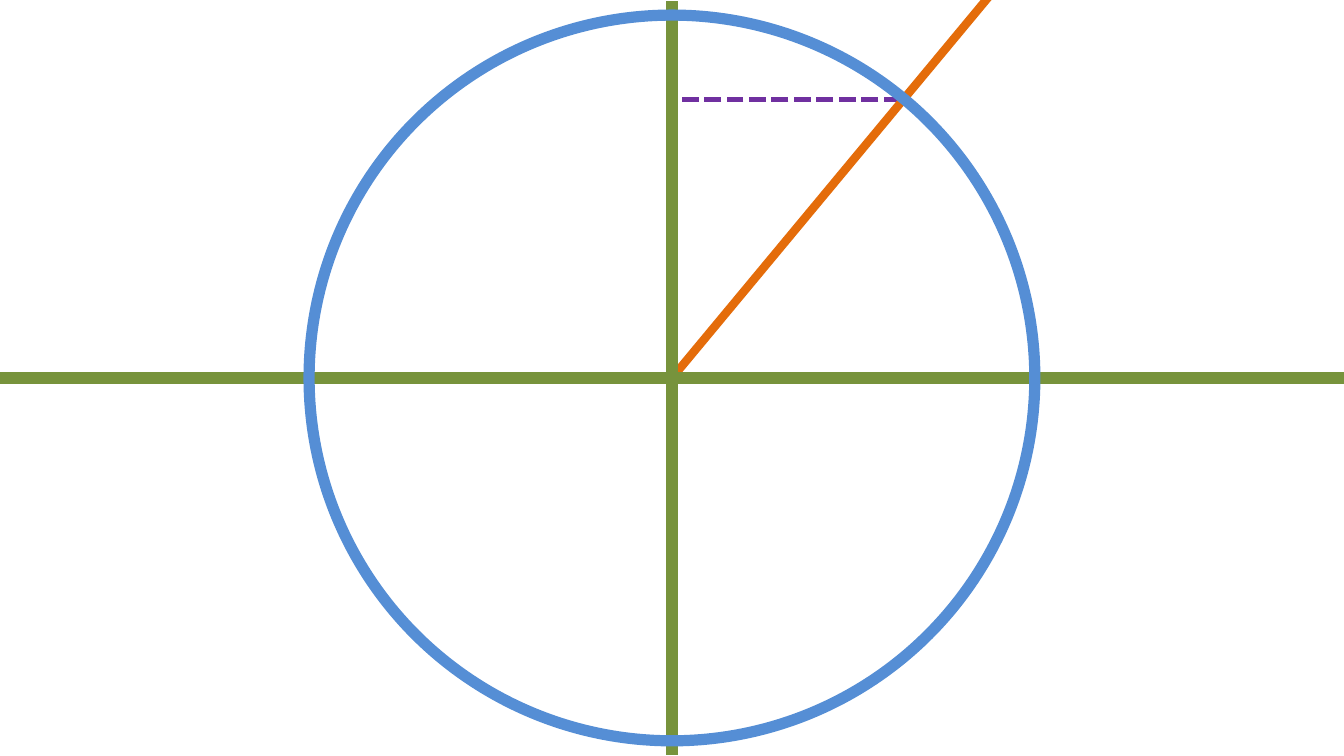
from pptx import Presentation
from pptx.dml.color import RGBColor
from pptx.enum.dml import MSO_LINE
from pptx.enum.shapes import MSO_CONNECTOR, MSO_SHAPE
from pptx.oxml.ns import qn
from pptx.util import Inches, Pt
from lxml import etree

STRAIGHT = MSO_CONNECTOR.STRAIGHT
OVAL = MSO_SHAPE.OVAL
SHORT_DASH = MSO_LINE.SQUARE_DOT

GREEN = RGBColor(0x77, 0x93, 0x3C)
BLUE = RGBColor(0x55, 0x8E, 0xD5)
ORANGE = RGBColor(0xE4, 0x6C, 0x0A)
PURPLE = RGBColor(0x70, 0x30, 0xA0)

# Widescreen page, 16:9
PAGE_WIDTH = 10
PAGE_HEIGHT = PAGE_WIDTH * 9 / 16


def add_line(page, start, end, color, weight):
    """Draw a straight line between two points given in inches."""
    ends = [Inches(value) for value in (*start, *end)]
    connector = page.shapes.add_connector(STRAIGHT, *ends)
    connector.line.color.rgb = color
    connector.line.width = Pt(weight)
    etree.SubElement(connector._element.spPr, qn("a:effectLst"))
    return connector


def add_unit_circle(page, left, top, width, height):
    """Place the axes, circle, ray and sine projection in the given box."""
    center_x, center_y = left + width / 2, top + height / 2
    radius = 2.7
    margin = 0.01

    # Dashed projection of the ray's crossing point onto the vertical axis
    sine_y = top + 0.74
    projection = add_line(page, (center_x + 1.7, sine_y), (center_x, sine_y), PURPLE, 3)
    projection.line.dash_style = SHORT_DASH

    # Ray from the center
    add_line(page, (center_x, center_y), (center_x + 2.42, top - 0.1), ORANGE, 4.5)

    # Axes
    add_line(page, (center_x, top + margin), (center_x, top + height - margin), GREEN, 6)
    add_line(page, (left + width, center_y), (left, center_y), GREEN, 6)

    # Circle
    circle = page.shapes.add_shape(
        OVAL, Inches(center_x - radius), Inches(center_y - radius),
        Inches(2 * radius), Inches(2 * radius))
    circle.shadow.inherit = False
    circle.fill.background()
    circle.line.color.rgb = BLUE
    circle.line.width = Pt(6)


def main():
    deck = Presentation()
    deck.slide_width = Inches(PAGE_WIDTH)
    deck.slide_height = Inches(PAGE_HEIGHT)
    page = deck.slides.add_slide(deck.slide_layouts[6])
    add_unit_circle(page, 0, 0, PAGE_WIDTH, PAGE_HEIGHT)
    deck.save("out.pptx")


if __name__ == "__main__":
    main()
